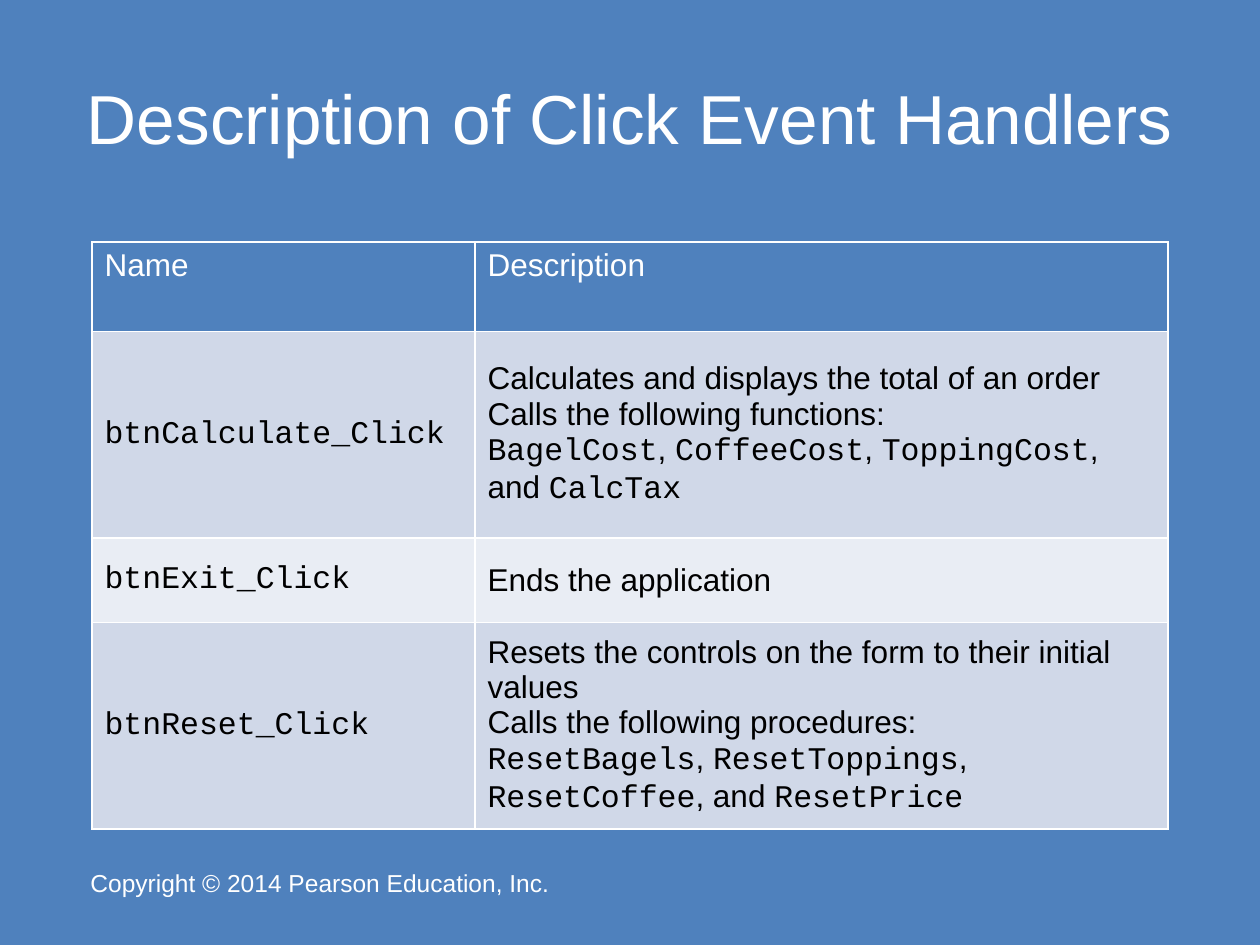
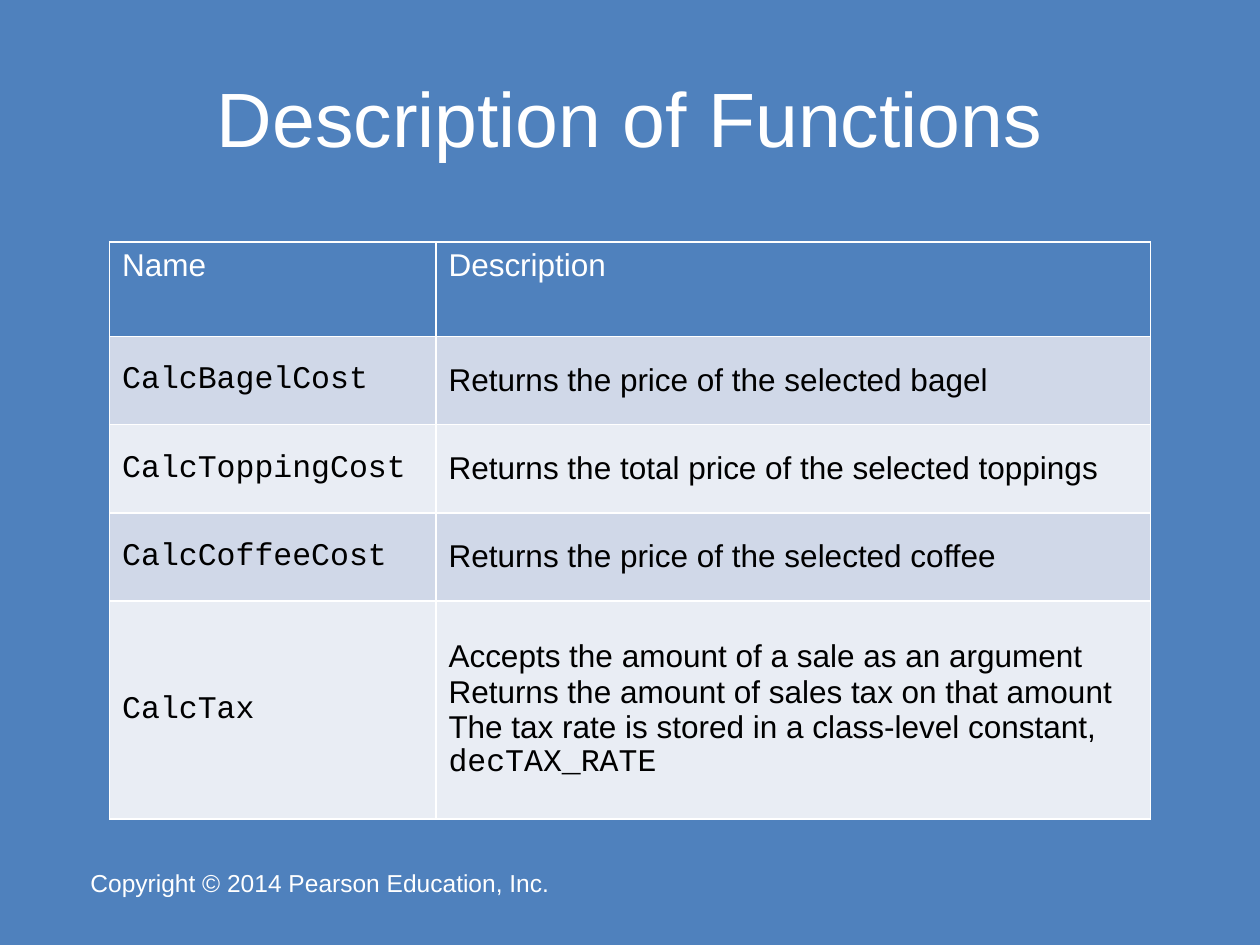
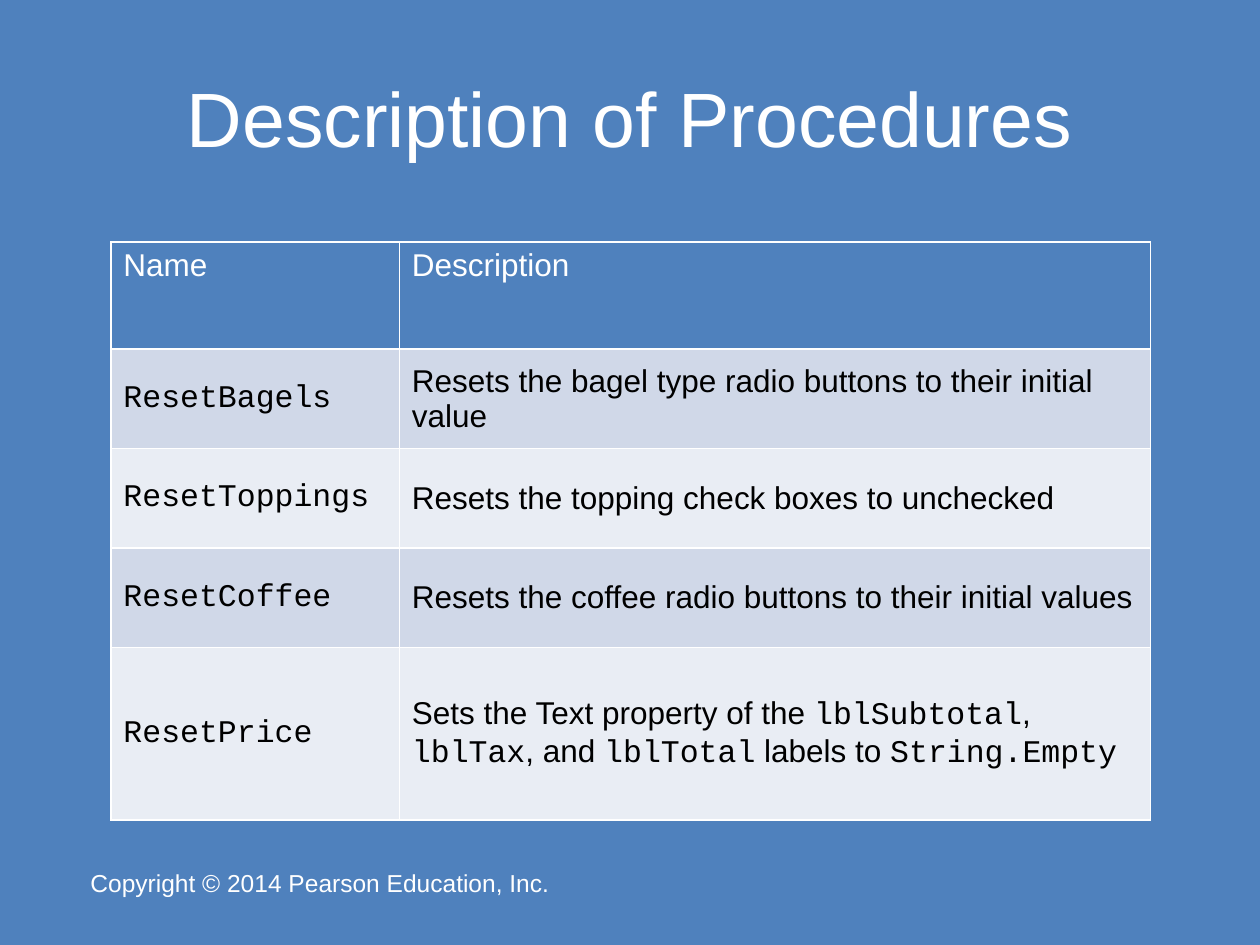
from dataclasses import dataclass

from lxml import etree
from pptx import Presentation
from pptx.dml.color import RGBColor
from pptx.enum.text import MSO_ANCHOR, MSO_AUTO_SIZE, PP_ALIGN
from pptx.oxml.ns import qn
from pptx.util import Inches, Pt

BLUE = RGBColor(0x4F, 0x81, 0xBD)
WHITE = RGBColor(0xFF, 0xFF, 0xFF)
BLACK = RGBColor(0x00, 0x00, 0x00)
BANDS = (RGBColor(0xD0, 0xD8, 0xE8), RGBColor(0xE9, 0xED, 0xF4))

TEXT_FONT = "Arial"
CODE_FONT = "Courier New"
CENTER = PP_ALIGN.CENTER
TOP = MSO_ANCHOR.TOP
MIDDLE = MSO_ANCHOR.MIDDLE
NO_FIT = MSO_AUTO_SIZE.NONE

TITLE_ONLY = 5
TABLE_TOP = 1.92
HEADER = ("Name", "Description")
FOOTER = "Copyright © 2014 Pearson Education, Inc."


@dataclass
class TableSlide:
    title: str
    title_size: float
    left: float
    col_widths: tuple[float, ...]
    row_heights: tuple[float, ...]
    rows: tuple[tuple[str, str], ...]


SLIDES = (
    TableSlide(
        "Description of Click Event Handlers", 39.6, 0.73,
        (3.04, 5.5), (0.71, 1.64, 0.67, 1.64),
        (
            ("`btnCalculate_Click`",
             "Calculates and displays the total of an order\n"
             "Calls the following functions:\n"
             "`BagelCost`, `CoffeeCost`, `ToppingCost`, and `CalcTax`"),
            ("`btnExit_Click`", "Ends the application"),
            ("`btnReset_Click`",
             "Resets the controls on the form to their initial values\n"
             "Calls the following procedures:\n"
             "`ResetBagels`, `ResetToppings`, `ResetCoffee`, and `ResetPrice`"),
        ),
    ),
    TableSlide(
        "Description of Functions", 44, 0.87,
        (2.59, 5.67), (0.75, 0.7, 0.7, 0.7, 1.73),
        (
            ("`CalcBagelCost`", "Returns the price of the selected bagel"),
            ("`CalcToppingCost`", "Returns the total price of the selected toppings"),
            ("`CalcCoffeeCost`", "Returns the price of the selected coffee"),
            ("`CalcTax`",
             "Accepts the amount of a sale as an argument\n"
             "Returns the amount of sales tax on that amount\n"
             "The tax rate is stored in a class-level constant, `decTAX_RATE`"),
        ),
    ),
    TableSlide(
        "Description of Procedures", 44, 0.88,
        (2.29, 5.96), (0.85, 0.79, 0.79, 0.79, 1.37),
        (
            ("`ResetBagels`", "Resets the bagel type radio buttons to their initial value"),
            ("`ResetToppings`", "Resets the topping check boxes to unchecked"),
            ("`ResetCoffee`", "Resets the coffee radio buttons to their initial values"),
            ("`ResetPrice`",
             "Sets the Text property of the `lblSubtotal`, `lblTax`, "
             "and `lblTotal` labels to `String.Empty`"),
        ),
    ),
)


def write_text(tf, text: str, size: float, color: RGBColor, align=None) -> None:
    for i, line in enumerate(text.split("\n")):
        p = tf.paragraphs[0] if i == 0 else tf.add_paragraph()
        p.alignment = align
        for j, part in enumerate(line.split("`")):
            if not part:
                continue
            r = p.add_run()
            r.text = part
            font = {"name": CODE_FONT if j % 2 else TEXT_FONT,
                    "size": Pt(size), "bold": False}
            for name, value in font.items():
                setattr(r.font, name, value)
            r.font.color.rgb = color


def set_borders(cell, color: RGBColor, width: float) -> None:
    tc_pr = cell._tc.get_or_add_tcPr()
    for i, side in enumerate(("lnL", "lnR", "lnT", "lnB")):
        ln = etree.Element(qn(f"a:{side}"), w=str(Pt(width)))
        fill = etree.SubElement(ln, qn("a:solidFill"))
        etree.SubElement(fill, qn("a:srgbClr"), val=str(color))
        tc_pr.insert(i, ln)


def add_title(s, text: str, size: float) -> None:
    title = s.shapes.title
    box = {"left": 0.5, "top": 0.3, "width": 9, "height": 1.25}
    for name, value in box.items():
        setattr(title, name, Inches(value))
    tf = title.text_frame
    tf.auto_size = NO_FIT
    tf.vertical_anchor = MIDDLE
    write_text(tf, text, size, WHITE, CENTER)


def add_footer(s) -> None:
    tf = s.shapes.add_textbox(Inches(0.5), Inches(6.83), Inches(4.08), Inches(0.35)).text_frame
    tf.word_wrap = True
    tf.vertical_anchor = MIDDLE
    write_text(tf, FOOTER, 14, WHITE, CENTER)


def add_description_table(s, spec: TableSlide) -> None:
    rows = (HEADER, *spec.rows)
    table = s.shapes.add_table(
        len(rows), len(HEADER), Inches(spec.left), Inches(TABLE_TOP),
        Inches(sum(spec.col_widths)), Inches(sum(spec.row_heights)),
    ).table
    for col, width in zip(table.columns, spec.col_widths):
        col.width = Inches(width)
    for i, (row, height) in enumerate(zip(rows, spec.row_heights)):
        table.rows[i].height = Inches(height)
        for j, text in enumerate(row):
            cell = table.cell(i, j)
            cell.vertical_anchor = MIDDLE if i else TOP
            cell.fill.solid()
            cell.fill.fore_color.rgb = BANDS[(i - 1) % 2] if i else BLUE
            set_borders(cell, WHITE, 1)
            write_text(cell.text_frame, text, 18, BLACK if i else WHITE)


def main() -> None:
    prs = Presentation()
    prs.slide_width, prs.slide_height = Inches(10), Inches(7.5)
    background = prs.slide_master.background.fill
    background.solid()
    background.fore_color.rgb = BLUE
    for spec in SLIDES:
        s = prs.slides.add_slide(prs.slide_layouts[TITLE_ONLY])
        add_footer(s)
        add_title(s, spec.title, spec.title_size)
        add_description_table(s, spec)
    prs.save("out.pptx")


if __name__ == "__main__":
    main()
